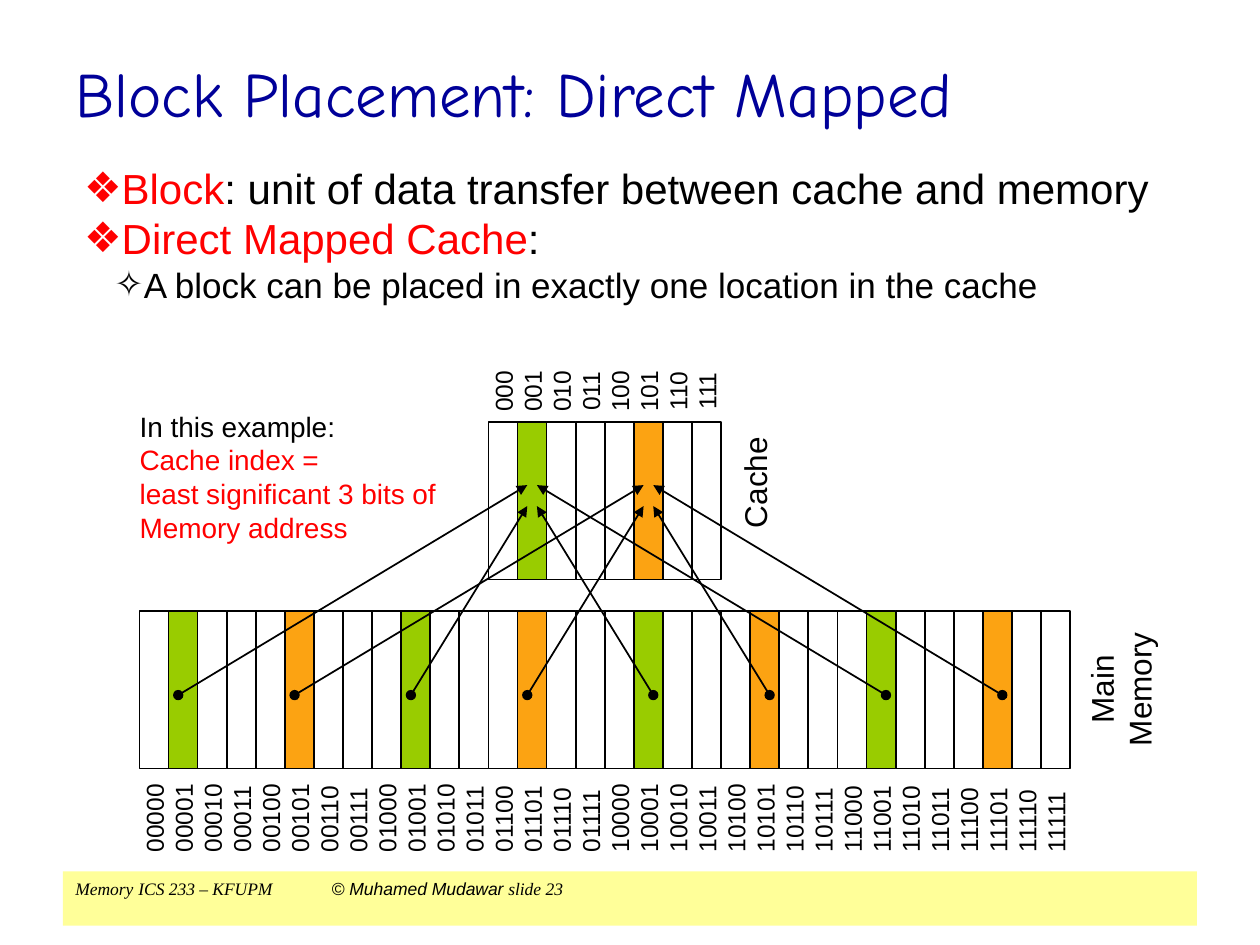
from lxml import etree
from pptx import Presentation
from pptx.dml.color import RGBColor
from pptx.enum import shapes, text
from pptx.oxml import ns
from pptx.util import Pt

BLACK = RGBColor(0, 0, 0)
WHITE = RGBColor(255, 255, 255)
RED = RGBColor(255, 0, 0)
NAVY = RGBColor(0, 0, 0x99)
GREEN = RGBColor(0x99, 0xCC, 0)
ORANGE = RGBColor(0xFC, 0xA3, 0x12)
YELLOW = RGBColor(255, 255, 0x99)
INDEX_COLORS = {0b001: GREEN, 0b101: ORANGE}
CELL_W, CELL_H = 16.62, 90


def sub(parent, tag, **attrs):
    return etree.SubElement(parent, ns.qn(tag), attrs)


def add_run(p, content, size, color=BLACK, name="Arial", italic=None):
    r = p.add_run()
    r.text = content
    f = r.font
    f.size, f.name, f.italic = Pt(size), name, italic
    f.color.rgb = color


def add_rect(s, box, fill):
    sp = s.shapes.add_shape(shapes.MSO_SHAPE.RECTANGLE, *map(Pt, box))
    sp.shadow.inherit = False
    sp.fill.solid()
    sp.fill.fore_color.rgb = fill
    return sp


def add_text(s, box, lines, size, align=text.PP_ALIGN.LEFT, rotation=0, tight=False):
    sp = s.shapes.add_textbox(*map(Pt, box))
    sp.rotation = rotation
    tf = sp.text_frame
    tf.word_wrap = True
    if tight:
        tf.margin_left = tf.margin_right = tf.margin_top = tf.margin_bottom = 0
        tf.vertical_anchor = text.MSO_ANCHOR.MIDDLE
    for i, (content, color) in enumerate(lines):
        p = tf.add_paragraph() if i else tf.paragraphs[0]
        p.alignment = align
        add_run(p, content, size, color)


def add_footer(s, box):
    sp = add_rect(s, box, YELLOW)
    sp.line.fill.background()
    tf = sp.text_frame
    tf.vertical_anchor = text.MSO_ANCHOR.TOP
    p = tf.paragraphs[0]
    p.alignment = text.PP_ALIGN.LEFT
    for content, name in (
        ("Memory\tICS 233 – KFUPM\t ", "Times New Roman"),
        ("© Muhamed Mudawar ", "Arial"),
        ("slide 23", "Times New Roman"),
    ):
        add_run(p, content, 10, name=name, italic=True)


def add_title(s, box):
    sp = s.shapes.title
    sp.left, sp.top, sp.width, sp.height = map(Pt, box)
    tf = sp.text_frame
    tf.vertical_anchor = text.MSO_ANCHOR.MIDDLE
    p = tf.paragraphs[0]
    p.alignment = text.PP_ALIGN.LEFT
    add_run(p, "Block Placement: Direct Mapped", 36, NAVY, "Comic Neue")


def add_bullets(s, box):
    tf = s.shapes.add_textbox(*map(Pt, box)).text_frame
    tf.word_wrap = True
    items = (
        (0, "❖", 24, (("Block", RED), (": unit of data transfer between cache and memory", BLACK))),
        (0, "❖", 24, (("Direct Mapped Cache", RED), (":", BLACK))),
        (1, "✧", 20, (("A block can be placed in exactly one location in the cache", BLACK),)),
    )
    for i, (level, char, size, runs) in enumerate(items):
        p = tf.add_paragraph() if i else tf.paragraphs[0]
        p.level = level
        pPr = p._p.get_or_add_pPr()
        pPr.set("marL", str(Pt(17.3 * level)))
        pPr.set("indent", "0")
        sub(pPr, "a:buFont", typeface="Arial")
        sub(pPr, "a:buChar", char=char)
        for content, color in runs:
            add_run(p, content, size, color)


def add_cells(s, left, top, count):
    for i in range(count):
        sp = add_rect(s, (left + i * CELL_W, top, CELL_W, CELL_H), INDEX_COLORS.get(i % 8, WHITE))
        sp.line.color.rgb = BLACK
        sp.line.width = Pt(1)


def add_addresses(s, left, center_y, count, bits, length, align):
    for i in range(count):
        center_x = left + (i + 0.5) * CELL_W
        box = (center_x - length / 2, center_y - CELL_W / 2, length, CELL_W)
        add_text(s, box, [(f"{i:0{bits}b}", BLACK)], 14, align, 270, tight=True)


def add_arrow(s, start, end):
    c = s.shapes.add_connector(shapes.MSO_CONNECTOR.STRAIGHT, *map(Pt, start + end))
    c.line.color.rgb = BLACK
    c.line.width = Pt(1)
    ln = c.line._get_or_add_ln()
    sub(ln, "a:headEnd", type="oval")
    sub(ln, "a:tailEnd", type="triangle")
    sub(c._element.spPr, "a:effectLst")


def add_mapping(s, memory, cache):
    for index in INDEX_COLORS:
        for address in range(index, 32, 8):
            side = 1 / 3 if address < 16 else 2 / 3
            drop = 48 if 8 <= address < 24 else 36
            start = (memory[0] + (address + side) * CELL_W, memory[1] + 48)
            end = (cache[0] + (index + side) * CELL_W, cache[1] + drop)
            add_arrow(s, start, end)


def add_diagram(s, left, top):
    cache = (left + 12 * CELL_W, top)
    memory = (left, top + 108)
    center = text.PP_ALIGN.CENTER
    add_cells(s, *memory, 32)
    add_cells(s, *cache, 8)
    add_addresses(s, cache[0], top - 17.7, 8, 3, 36, center)
    add_addresses(s, left, top + 225, 32, 5, 41.8, text.PP_ALIGN.LEFT)
    add_mapping(s, memory, cache)
    note = [
        ("In this example:", BLACK),
        ("Cache index =", RED),
        ("least significant 3 bits of Memory address", RED),
    ]
    add_text(s, (left - 7, top - 10.8, 184.3, 88.6), note, 16)
    add_text(s, (left + 317.7, top + 19.4, 67.7, 28.8), [("Cache", BLACK)], 18, rotation=270)
    add_text(s, (left + 517.9, top + 127.4, 85, 50.4),
             [("Main", BLACK), ("Memory", BLACK)], 18, center, 270)


def main():
    prs = Presentation()
    prs.slide_width, prs.slide_height = Pt(720), Pt(540)
    s = prs.slides.add_slide(prs.slide_layouts[5])
    add_footer(s, (36, 498, 648, 31))
    add_title(s, (36, 21.6, 648, 62.6))
    add_bullets(s, (41, 89.3, 641.5, 113.8))
    add_diagram(s, 79.7, 241.2)
    prs.save("out.pptx")


if __name__ == "__main__":
    main()
